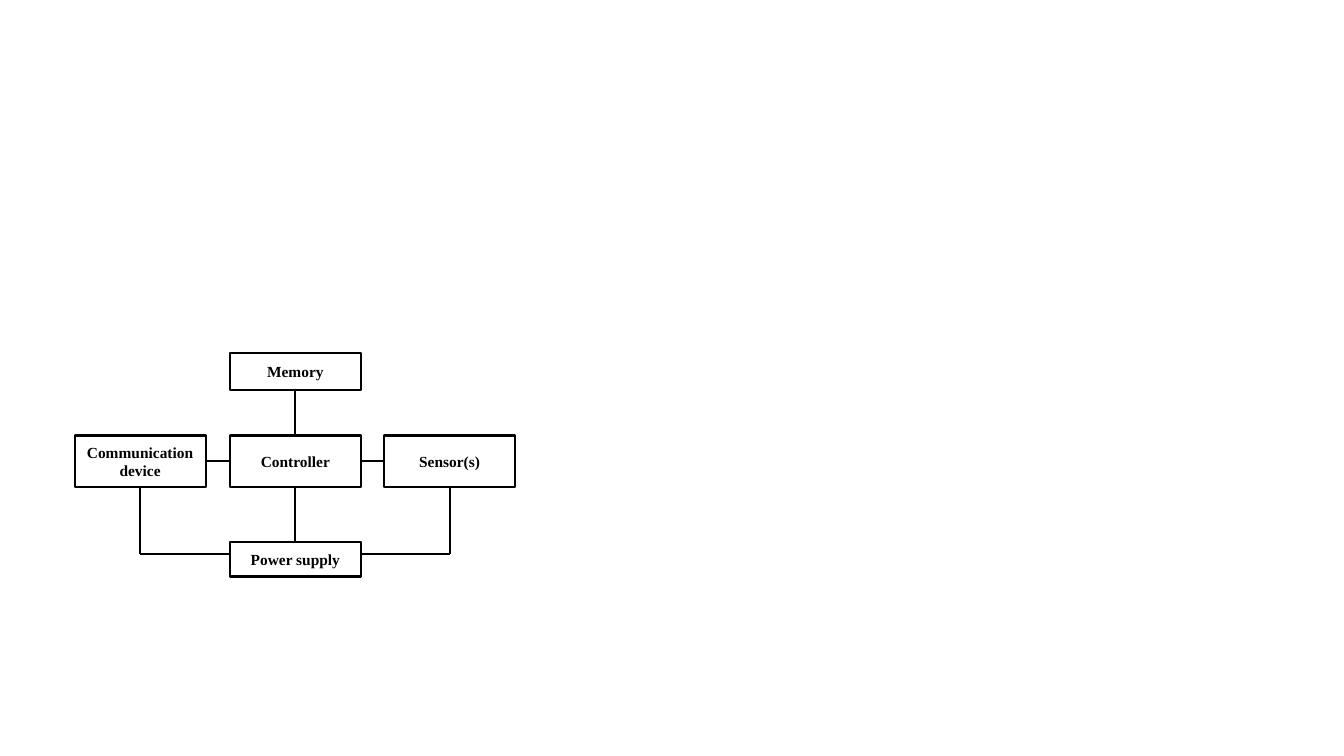
"""Block diagram of a sensor node: controller, memory, radio, sensors and power."""
from pptx import Presentation
from pptx.dml.color import RGBColor
from pptx.enum.shapes import MSO_CONNECTOR as LINK, MSO_SHAPE as SHAPE
from pptx.enum.text import MSO_ANCHOR as ANCHOR, PP_ALIGN as ALIGN
from pptx.oxml.ns import qn
from pptx.util import Inches, Pt
from lxml import etree

BLACK = RGBColor(0, 0, 0)
WIDE = 1.3
LEFT, MID, RIGHT = 0.74, 2.28, 3.81
ROW, TALL = 4.32, 0.51
RAIL = 5.5
TOP, WEST, BASE, EAST = range(4)

deck = Presentation()
deck.slide_width, deck.slide_height = Inches(13.33), Inches(7.5)
slide = deck.slides.add_slide(deck.slide_layouts[6])


def add_box(text, *, x, y, high, size=11, font="Times New Roman", bold=True):
    box = slide.shapes.add_shape(
        SHAPE.RECTANGLE, Inches(x), Inches(y), Inches(WIDE), Inches(high))
    box.shadow.inherit = False
    box.fill.background()
    box.line.color.rgb = BLACK
    box.line.width = Pt(1.5)
    frame = box.text_frame
    frame.word_wrap = True
    frame.vertical_anchor = ANCHOR.MIDDLE
    frame.margin_left = frame.margin_right = Inches(0.05)
    frame.text = text
    for para in frame.paragraphs:
        para.alignment = ALIGN.CENTER
        para.font.name = font
        para.font.size = Pt(size)
        para.font.bold = bold
        para.font.color.rgb = BLACK
    return box


def add_line(x1, y1, x2, y2):
    line = slide.shapes.add_connector(
        LINK.STRAIGHT, Inches(x1), Inches(y1), Inches(x2), Inches(y2))
    line.line.color.rgb = BLACK
    line.line.width = Pt(1.5)
    etree.SubElement(line._element.spPr, qn("a:effectLst"))
    return line


radio = add_box("Communication\ndevice", x=LEFT, y=ROW, high=TALL)
sensor = add_box("Sensor(s)", x=RIGHT, y=ROW, high=TALL)
memory = add_box("Memory", x=MID, y=3.5, high=0.37)
control = add_box("Controller", x=MID, y=ROW, high=TALL)
power = add_box("Power supply", x=MID, y=5.38, high=0.34)

for start, out, end, into in [
    (memory, BASE, control, TOP),
    (control, BASE, power, TOP),
    (radio, EAST, control, WEST),
    (control, EAST, sensor, WEST),
]:
    link = add_line(0, 0, 0, 0)
    link.begin_connect(start, out)
    link.end_connect(end, into)

for box, x, edge in [(radio, LEFT, MID), (sensor, RIGHT, MID + WIDE)]:
    center = x + WIDE / 2
    drop = add_line(center, ROW + TALL, center, RAIL)
    drop.begin_connect(box, BASE)
    add_line(center, RAIL, edge, RAIL)

deck.save("out.pptx")
